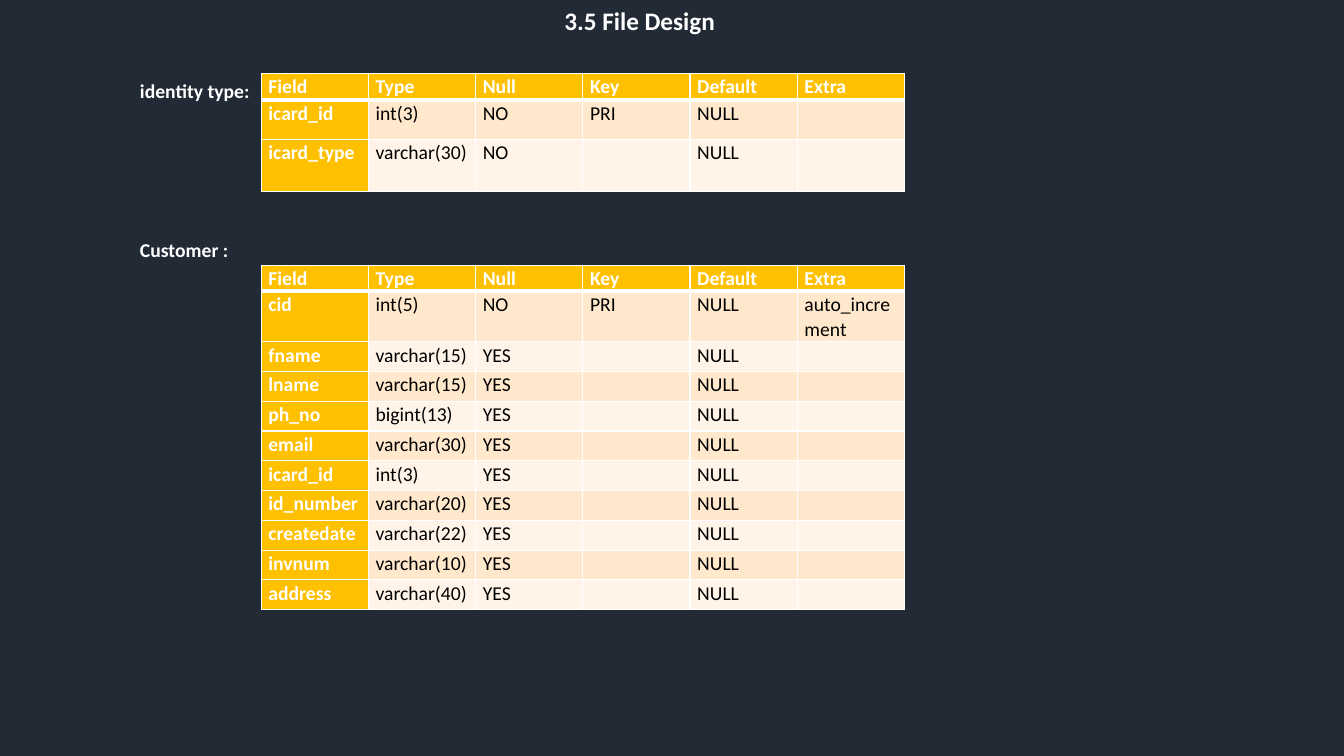
from lxml.etree import SubElement
from pptx import Presentation
from pptx.dml.color import RGBColor
from pptx.enum.text import MSO_ANCHOR, MSO_AUTO_SIZE
from pptx.oxml.ns import qn
from pptx.util import Inches, Pt

NAVY, WHITE, BLACK, AMBER = "222A35", "FFFFFF", "000000", "FFC000"
BANDS = ("FFE8CC", "FFF4E7")
HEADINGS = ("Field", "Type", "Null", "Key", "Default", "Extra")
IDENTITY_FIELDS = (
    ("icard_id", "int(3)", "NO", "PRI", "NULL", ""),
    ("icard_type", "varchar(30)", "NO", "", "NULL", ""),
)
OPTIONAL_FIELDS = {
    "fname": "varchar(15)", "lname": "varchar(15)", "ph_no": "bigint(13)",
    "email": "varchar(30)", "icard_id": "int(3)", "id_number": "varchar(20)",
    "createdate": "varchar(22)", "invnum": "varchar(10)", "address": "varchar(40)",
}
CUSTOMER_FIELDS = [("cid", "int(5)", "NO", "PRI", "NULL", "auto_increment")] + [
    (field, kind, "YES", "", "NULL", "") for field, kind in OPTIONAL_FIELDS.items()
]


def colour(value):
    return RGBColor.from_string(value)


def apply(target, formats):
    for name, value in formats.items():
        setattr(target, name, value)


class FileDesignSlide:
    """Style and slide, measured on a grid of 100 columns by 100 rows."""

    font_name = "Calibri"
    body_size = 14
    cell_inset = 0.54
    table_left = 19.43
    field_width = 7.98

    def __init__(self, deck):
        self.deck = deck
        self.slide = deck.slides.add_slide(deck.slide_layouts[6])
        self.slide.background.fill.solid()
        self.slide.background.fill.fore_color.rgb = colour(NAVY)

    def cols(self, count):
        return round(self.deck.slide_width * count / 100)

    def rows(self, count):
        return round(self.deck.slide_height * count / 100)

    def style(self, font, size, ink, bold):
        apply(font, {"name": self.font_name, "size": Pt(size), "bold": bold})
        font.color.rgb = colour(ink)

    def label(self, words, left, top, width, height, size=body_size):
        box = self.slide.shapes.add_textbox(
            self.cols(left), self.rows(top), self.cols(width), self.rows(height))
        apply(box.text_frame, {"word_wrap": True, "auto_size": MSO_AUTO_SIZE.SHAPE_TO_FIT_TEXT})
        run = box.text_frame.paragraphs[0].add_run()
        run.text = words
        self.style(run.font, size, WHITE, True)

    def borders(self, cell, above, below):
        properties = cell._tc.get_or_add_tcPr()
        for side, weight in {"lnL": 1, "lnR": 1, "lnT": above, "lnB": below}.items():
            line = SubElement(properties, qn(f"a:{side}"), w=str(Pt(weight)))
            fill = SubElement(line, qn("a:solidFill"))
            SubElement(fill, qn("a:srgbClr"), val=WHITE)

    def cell(self, cell, words, row, column):
        heading = row == 0 or column == 0
        self.borders(cell, 3 if row == 1 else 1, 3 if row == 0 else 1)
        cell.fill.solid()
        cell.fill.fore_color.rgb = colour(AMBER if heading else BANDS[(row - 1) % 2])
        inset = self.cols(self.cell_inset)
        apply(cell, {"margin_left": inset, "margin_right": inset, "margin_top": 0,
                     "margin_bottom": 0, "vertical_anchor": MSO_ANCHOR.TOP})
        paragraph = cell.text_frame.paragraphs[0]
        apply(paragraph, {"line_spacing": 1.07, "space_after": Pt(9 if row else 8)})
        if words:
            run = paragraph.add_run()
            run.text = words
            self.style(run.font, self.body_size, WHITE if heading else BLACK, heading)
        else:
            SubElement(paragraph._p, qn("a:endParaRPr"), sz=str(self.body_size * 100))

    def table(self, fields, top, heights):
        records = [HEADINGS, *fields]
        table = self.slide.shapes.add_table(
            len(records), len(HEADINGS), self.cols(self.table_left), self.rows(top),
            self.cols(self.field_width * len(HEADINGS)), self.rows(sum(heights))).table
        for column in table.columns:
            column.width = self.cols(self.field_width)
        for row, (record, height) in enumerate(zip(records, heights)):
            table.rows[row].height = self.rows(height)
            for column, words in enumerate(record):
                self.cell(table.cell(row, column), words, row, column)


def main():
    deck = Presentation()
    apply(deck, {"slide_width": Inches(13.33), "slide_height": Inches(7.5)})
    page = FileDesignSlide(deck)
    page.table(IDENTITY_FIELDS, 9.73, [3.47, 5.2, 6.93])
    page.table(CUSTOMER_FIELDS, 35.07, [2.27] + [3.94] * len(CUSTOMER_FIELDS))
    page.label("Customer :", 9.68, 30.8, 27.38, 4.53)
    page.label("3.5 File Design", 41.26, 0, 13.35, 5.33, size=18)
    page.label("identity type:", 9.68, 9.73, 11.63, 4.53)
    deck.save("out.pptx")


if __name__ == "__main__":
    main()
